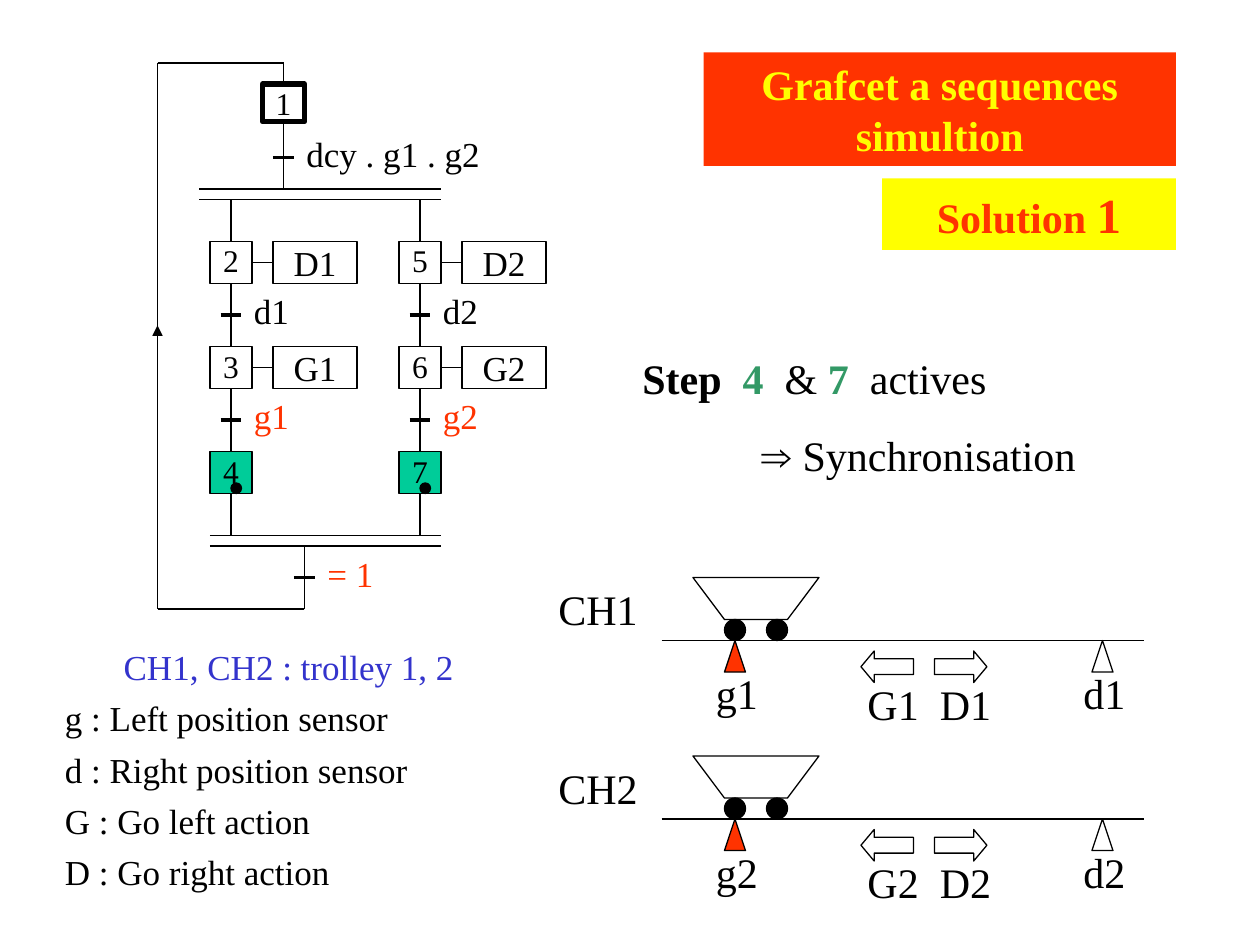
from dataclasses import dataclass

from lxml import etree
from pptx import Presentation
from pptx.dml.color import RGBColor as Rgb
from pptx.enum.shapes import MSO_CONNECTOR as Link, MSO_SHAPE as Shape
from pptx.enum.text import MSO_ANCHOR as Anchor, PP_ALIGN as Align
from pptx.oxml.ns import qn
from pptx.util import Inches, Pt

TOP, LEFT, BOTTOM, RIGHT = range(4)


@dataclass(frozen=True)
class Theme:
    font: str = "Times New Roman"
    symbol_font: str = "Arial"
    black: str = "000000"
    white: str = "FFFFFF"
    red: str = "FF3300"
    yellow: str = "FFFF00"
    green: str = "339966"
    active: str = "00CC99"
    blue: str = "3333CC"
    small: int = 18
    label: int = 20
    body: int = 24
    large: int = 28
    thin: float = 0.75
    bar: float = 2.25
    thick: float = 3


def grid(count):
    return Inches(count / 12)


class Grafcet:
    """Draws grafcet parts on one slide, on a grid of twelfths of an inch."""

    def __init__(self, slide, theme):
        self.shapes = slide.shapes
        self.theme = theme

    def caption(self, part, paragraphs, margin=(0.1, 0.05, 0.1, 0.05), align=Align.LEFT, **layout):
        frame = part.text_frame
        sides = ("margin_left", "margin_top", "margin_right", "margin_bottom")
        settings = dict(zip(sides, map(Inches, margin)))
        settings.update(word_wrap=True, vertical_anchor=Anchor.TOP)
        for name, value in settings.items():
            setattr(frame, name, value)
        for index, content in enumerate(paragraphs):
            paragraph = frame.paragraphs[0] if index == 0 else frame.add_paragraph()
            for name, value in {"alignment": align, **layout}.items():
                setattr(paragraph, name, value)
            for words, style in content:
                self.words(paragraph, words, **style)
        return part

    def words(self, paragraph, words, size=None, color=None, bold=False, font=None, wide=False):
        run = paragraph.add_run()
        run.text = words
        style = {"name": font or self.theme.font, "size": Pt(size or self.theme.body), "bold": bold}
        for name, value in style.items():
            setattr(run.font, name, value)
        run.font.color.rgb = Rgb.from_string(color or self.theme.black)
        if wide:
            run.font._element.set("spc", "600")

    def text(self, x, y, w, h, paragraphs, **layout):
        return self.caption(self.shapes.add_textbox(*map(grid, (x, y, w, h))), paragraphs, **layout)

    def label(self, x, y, w, h, words, size=None, color=None, **layout):
        return self.text(x, y, w, h, [[(words, {"size": size, "color": color})]], **layout)

    def paint(self, part, fill=None, width=None):
        part.shadow.inherit = False
        if fill:
            part.fill.solid()
            part.fill.fore_color.rgb = Rgb.from_string(fill)
        else:
            part.fill.background()
        if width:
            part.line.color.rgb = Rgb.from_string(self.theme.black)
            part.line.width = Pt(width)
        else:
            part.line.fill.background()
        return part

    def shape(self, kind, x, y, w, h, fill=None, width=Theme.thin):
        return self.paint(self.shapes.add_shape(kind, *map(grid, (x, y, w, h))), fill, width)

    def outline(self, points):
        corners = [(grid(x), grid(y)) for x, y in points]
        builder = self.shapes.build_freeform(*corners[0], scale=1)
        builder.add_line_segments(corners[1:], close=True)
        return self.paint(builder.convert_to_shape(), width=self.theme.thin)

    def line(self, x1, y1, x2, y2, width=Theme.thin, start=None, end=None, arrow=False):
        link = self.shapes.add_connector(Link.STRAIGHT, *map(grid, (x1, y1, x2, y2)))
        link.line.color.rgb = Rgb.from_string(self.theme.black)
        link.line.width = Pt(width)
        properties = link._element.spPr
        if arrow:
            etree.SubElement(properties.find(qn("a:ln")), qn("a:tailEnd"), type="triangle")
        etree.SubElement(properties, qn("a:effectLst"))
        if start:
            link.begin_connect(*start)
        if end:
            link.end_connect(*end)

    def step(self, x, y, number, fill=None, h=4, width=Theme.thin):
        box = self.shape(Shape.RECTANGLE, x, y, 4, h, fill, width)
        content = [[(number, {"size": self.theme.small})]]
        return self.caption(box, content, (0.1, 0, 0.1, 0), Align.CENTER, space_before=Pt(11.2))

    def action(self, step, x, y, name):
        box = self.shape(Shape.RECTANGLE, x, y, 8, 4, self.theme.white)
        self.caption(box, [[(name, {"size": self.theme.label})]], (0.1, 0, 0.1, 0), Align.CENTER)
        self.line(x - 2, y + 2, x, y + 2, start=(step, RIGHT), end=(box, LEFT))

    def transition(self, x, y, h, condition, w=8, color=None, start=None, end=None):
        self.line(x, y, x, y + h, start=start, end=end)
        middle = y + h / 2
        self.line(x - 1, middle, x + 1, middle, self.theme.bar)
        self.label(x + 1, middle - 3, w, 5, condition, self.theme.label, color)

    def double_bar(self, x1, x2, y):
        for level in (y, y + 1):
            self.line(x1, level, x2, level)

    def sequence(self, x, numbers, track):
        theme = self.theme
        first, second, last = [
            self.step(x, 23 + 10 * row, number, theme.active if row == 2 else None)
            for row, number in enumerate(numbers)
        ]
        axis = x + 2
        self.line(axis, 19, axis, 23, end=(first, TOP))
        self.action(first, x + 6, 23, f"D{track}")
        self.transition(axis, 27, 6, f"d{track}", start=(first, BOTTOM), end=(second, TOP))
        self.action(second, x + 6, 33, f"G{track}")
        self.transition(axis, 37, 6, f"g{track}", color=theme.red,
                        start=(second, BOTTOM), end=(last, TOP))
        self.line(axis, 47, axis, 51, start=(last, BOTTOM))
        self.shape(Shape.OVAL, axis, 46, 1, 1, theme.black)

    def trolley(self, rail, track):
        theme = self.theme
        self.line(63, rail, 109, rail)
        self.outline([(66, rail - 6), (69, rail - 2), (75, rail - 2), (78, rail - 6)])
        for wheel in (69, 73):
            self.shape(Shape.OVAL, wheel, rail - 2, 2, 2, theme.black)
        for x, name, fill in ((69, "g", theme.red), (104, "d", None)):
            self.shape(Shape.ISOSCELES_TRIANGLE, x, rail, 2, 3, fill)
            self.label(x - 2, rail + 2, 8, 6, f"{name}{track}", space_before=Pt(15))
        for x, kind in ((82, Shape.LEFT_ARROW), (89, Shape.RIGHT_ARROW)):
            self.shape(kind, x, rail + 1, 5, 3).adjustments[1] = 0.42
        self.label(52, rail - 6, 14, 6, f"CH{track}", space_before=Pt(15))
        moves = [(f"G{track}", {}), (" ", {"wide": True}), (f"D{track}", {})]
        self.text(81, rail + 3, 15, 6, [moves], align=Align.CENTER, space_before=Pt(15))

    def banner(self, x, y, w, h, fill, content, before):
        box = self.shape(Shape.RECTANGLE, x, y, w, h, fill, None)
        self.caption(box, [content], align=Align.CENTER, space_before=Pt(before))


def main():
    deck = Presentation()
    deck.slide_width, deck.slide_height = Inches(10), Inches(7.5)
    theme = Theme()
    chart = Grafcet(deck.slides.add_slide(deck.slide_layouts[6]), theme)

    for track, rail in enumerate((61, 78), 1):
        chart.trolley(rail, track)

    initial = chart.step(25, 8, "1", h=3.6, width=theme.thick)
    chart.transition(27, 12, 6, "dcy . g1 . g2", w=21, start=(initial, BOTTOM))
    chart.double_bar(19, 42, 18)
    for track, (x, numbers) in enumerate(((20, "234"), (38, "567")), 1):
        chart.sequence(x, numbers, track)
    chart.double_bar(20, 42, 51)
    chart.transition(29, 52, 6, "= 1", color=theme.red)
    chart.line(29, 58, 15, 58)
    chart.line(15, 58, 15, 6)
    chart.line(15, 36, 15, 31, arrow=True)
    chart.line(15, 6, 27, 6)
    chart.line(27, 6, 27, 8, end=(initial, TOP))

    heading = {"color": theme.yellow, "bold": True}
    chart.banner(67, 5, 45, 10.8, theme.red, [("Grafcet a sequences simultion", heading)], 15)
    solution = {"color": theme.red, "bold": True}
    chart.banner(84, 17, 28, 6.8, theme.yellow,
                 [("Solution ", solution), ("1", {**solution, "size": theme.large})], 17.5)

    gap = (" ", {"wide": True})
    number = {"color": theme.green, "bold": True}
    state = [("Step", {"bold": True}), gap, ("4", number), gap, ("& ", {}), ("7", number), gap,
             ("actives", {})]
    result = [("⇒", {"font": theme.symbol_font}), (" Synchronisation", {})]
    outcome = chart.text(60, 33, 55, 13.3, [state, result], space_before=Pt(15))
    outcome.text_frame.paragraphs[1].alignment = Align.CENTER

    legend = ["CH1, CH2 : trolley 1, 2", "g : Left position sensor", "d : Right position sensor",
              "G : Go left action", "D : Go right action"]
    entries = [[(entry, {"size": theme.label, "color": None if row else theme.blue})]
               for row, entry in enumerate(legend)]
    key = chart.text(5, 62, 45, 23.5, entries, space_before=Pt(12.5), line_spacing=0.7)
    key.text_frame.paragraphs[0].alignment = Align.CENTER

    deck.save("out.pptx")


if __name__ == "__main__":
    main()
